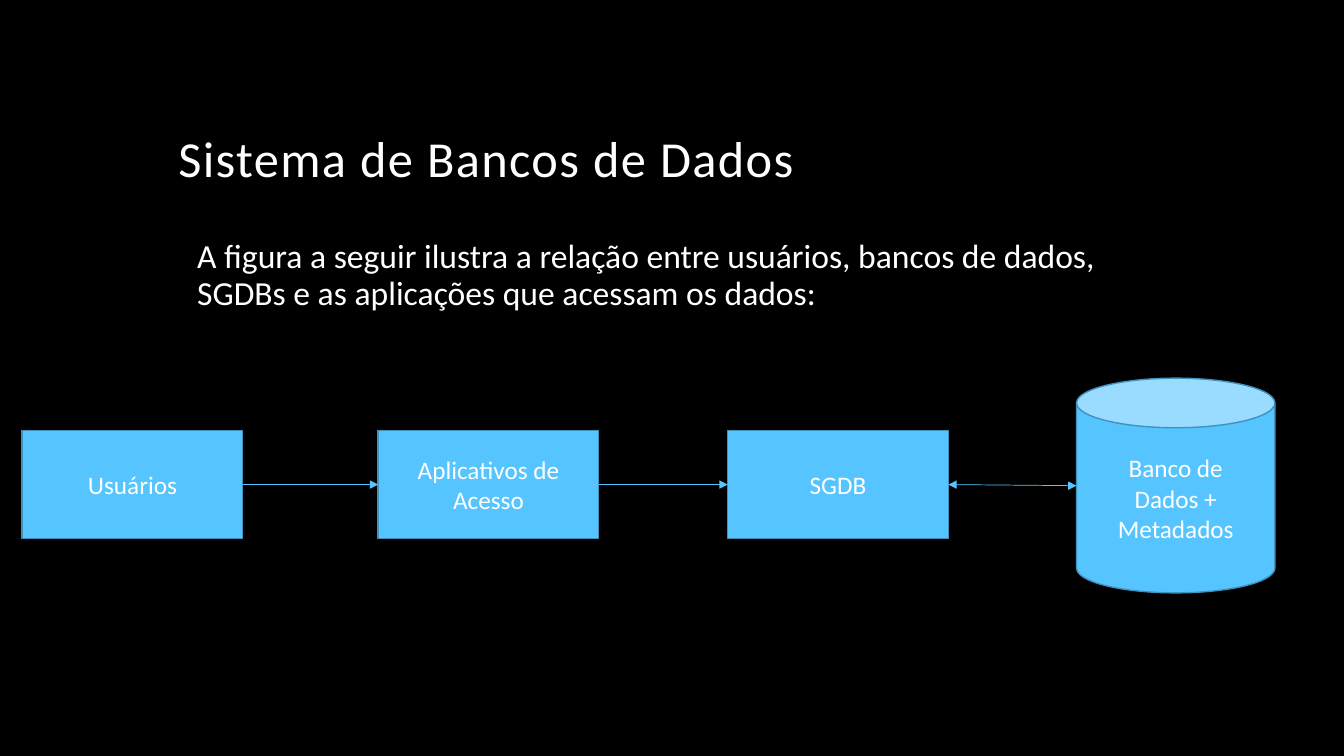
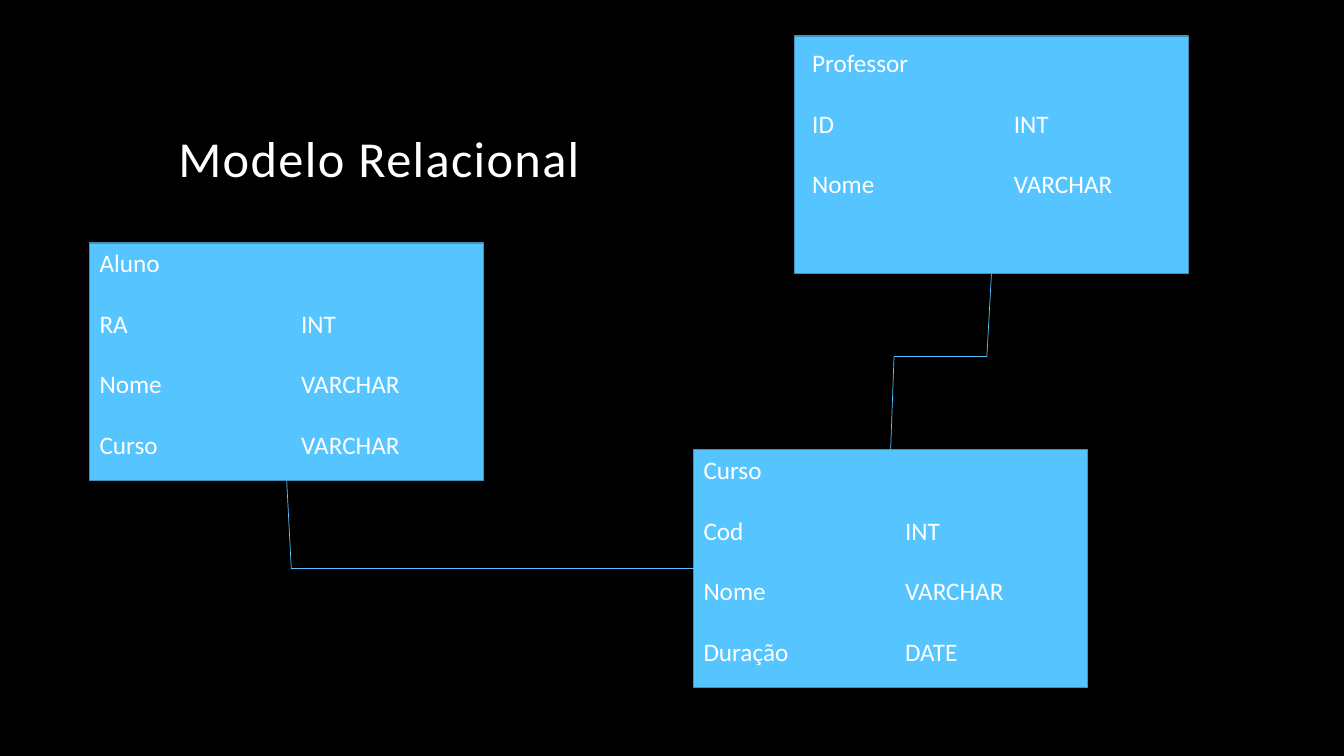
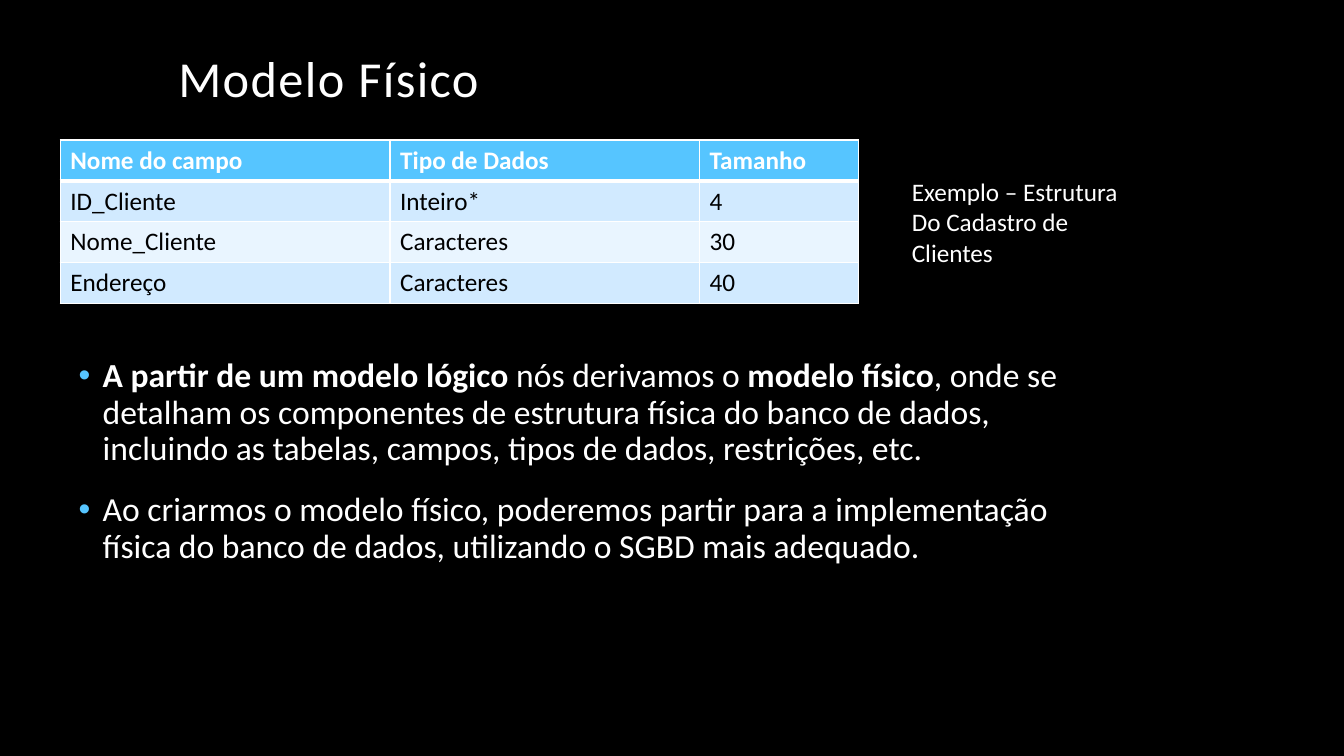
from lxml import etree
from pptx import Presentation
from pptx.dml.color import RGBColor
from pptx.enum import shapes, text
from pptx.oxml import ns
from pptx.util import Cm, Pt

BLACK, WHITE = "000000", "FFFFFF"
BLUE, EDGE = "56C5FF", "4092BD"
BANDS = ["D1EAFF", "E9F5FF"]


def color(value):
    return RGBColor.from_string(value)


def add_xml(parent, tag, **attributes):
    return etree.SubElement(parent, ns.qn(tag), attributes)


def paint(fill, value):
    fill.solid()
    fill.fore_color.rgb = color(value)


class Slides:
    font = "Calibri"

    def __init__(self):
        self.deck = Presentation()
        self.deck.slide_width, self.deck.slide_height = Cm(33.87), Cm(19.05)
        paint(self.deck.slide_master.background.fill, BLACK)

    def start(self, title, top=1.07, height=3.81):
        self.page = self.deck.slides.add_slide(self.deck.slide_layouts[5])
        box = self.page.shapes.title
        box.left, box.top, box.width, box.height = Cm(4.24), Cm(top), Cm(25.4), Cm(height)
        frame = box.text_frame
        frame.text = title
        frame.auto_size = text.MSO_AUTO_SIZE.NONE
        frame.vertical_anchor = text.MSO_ANCHOR.BOTTOM
        para = frame.paragraphs[0]
        para.alignment = text.PP_ALIGN.LEFT
        para.line_spacing = 0.9
        self.style(para, 36)
        para.font._element.set("spc", "100")

    def style(self, para, size, ink=WHITE, bold=False):
        para.font.name = self.font
        para.font.size = Pt(size)
        para.font.bold = bold
        para.font.color.rgb = color(ink)

    def text_box(self, left, top, width, height):
        box = self.page.shapes.add_textbox(Cm(left), Cm(top), Cm(width), Cm(height))
        box.text_frame.word_wrap = True
        return box.text_frame

    def label(self, left, top, width, height, lines):
        frame = self.text_box(left, top, width, height)
        frame.text = lines
        for para in frame.paragraphs:
            self.style(para, 18)

    def body(self, left, top, height, paragraphs, bullets=False):
        frame = self.text_box(left, top, 25.37, height)
        for number, spans in enumerate(paragraphs):
            para = frame.add_paragraph() if number else frame.paragraphs[0]
            for words, bold in spans:
                span = para.add_run()
                span.text = words
                span.font.bold = bold
            if bullets:
                props = para._p.get_or_add_pPr()
                props.set("marL", str(Cm(0.61)))
                props.set("indent", str(-Cm(0.61)))
                add_xml(add_xml(props, "a:buClr"), "a:srgbClr", val=BLUE)
                add_xml(props, "a:buFont", typeface="Arial")
                add_xml(props, "a:buChar", char="•")
            para.line_spacing = 0.9
            para.space_before = Pt(18)
            self.style(para, 24)

    def shape(self, left, top, width, height, words="", kind=shapes.MSO_SHAPE.RECTANGLE):
        box = self.page.shapes.add_shape(kind, Cm(left), Cm(top), Cm(width), Cm(height))
        box.shadow.inherit = False
        paint(box.fill, BLUE)
        box.line.color.rgb = color(EDGE)
        box.line.width = Pt(1)
        frame = box.text_frame
        frame.vertical_anchor = text.MSO_ANCHOR.MIDDLE
        frame.text = words
        for para in frame.paragraphs:
            para.alignment = text.PP_ALIGN.CENTER
            self.style(para, 18)

    def fields(self, left, top, width, height, name, rows):
        frame = self.text_box(left, top, width, height)
        frame.text = "\n".join([name] + ["\t".join(row) for row in rows])
        for number, para in enumerate(frame.paragraphs):
            if number:
                tabs = add_xml(para._p.get_or_add_pPr(), "a:tabLst")
                add_xml(tabs, "a:tab", pos=str(Cm(5.08)), algn="l")
                para.space_before = Pt(21.6)
            self.style(para, 18)

    def line(self, start, end, arrows=()):
        link = self.page.shapes.add_connector(
            shapes.MSO_CONNECTOR.STRAIGHT, *[Cm(value) for value in (*start, *end)])
        link.line.color.rgb = color(BLUE)
        link.line.width = Pt(0.5)
        for arrow in arrows:
            add_xml(link.line._get_or_add_ln(), arrow, type="triangle")
        add_xml(link._element.spPr, "a:effectLst")

    def polyline(self, *points):
        for start, end in zip(points, points[1:]):
            self.line(start, end)

    def table(self, left, top, widths, row_height, rows):
        grid = self.page.shapes.add_table(
            len(rows), len(widths), Cm(left), Cm(top),
            Cm(sum(widths)), Cm(row_height * len(rows))).table
        grid.horz_banding = False
        for column, width in zip(grid.columns, widths):
            column.width = Cm(width)
        for number, row in enumerate(rows):
            header = number == 0
            for cell, words in zip(grid.rows[number].cells, row):
                cell.text = words
                self.style(cell.text_frame.paragraphs[0], 18, WHITE if header else BLACK, header)
                self.borders(cell, {"T": 3 if number == 1 else 1, "B": 3 if header else 1})
                paint(cell.fill, BLUE if header else BANDS[(number - 1) % 2])

    def borders(self, cell, widths):
        props = cell._tc.get_or_add_tcPr()
        for side in "LRTB":
            edge = add_xml(props, f"a:ln{side}", w=str(Pt(widths.get(side, 1))))
            add_xml(add_xml(edge, "a:solidFill"), "a:srgbClr", val=WHITE)


def system(slides):
    slides.start("Sistema de Bancos de Dados")
    slides.body(4.72, 5.92, 11.43, [[(
        "A figura a seguir ilustra a relação entre usuários, bancos de dados, "
        "SGDBs e as aplicações que acessam os dados:", False)]])
    width, height, top = 5.56, 2.72, 10.85
    middle = top + height / 2
    lefts = [0.56, 9.53, 18.34]
    store = 27.13
    for left, words in zip(lefts, ["Usuários", "Aplicativos de\nAcesso", "SGDB"]):
        slides.shape(left, top, width, height, words)
    slides.shape(store, 9.53, 5, 5.41, "Banco de\nDados +\nMetadados", shapes.MSO_SHAPE.CAN)
    for left, target in zip(lefts, lefts[1:]):
        slides.line((left + width, middle), (target, middle), ["a:tailEnd"])
    slides.line((lefts[-1] + width, middle), (store, middle + 0.03), ["a:headEnd", "a:tailEnd"])


def relational(slides):
    slides.start("Modelo Relacional")
    width, height = 9.93, 5.99
    student, course, teacher = (2.26, 6.12), (17.48, 11.33), (20.02, 0.91)
    for corner in (student, course, teacher):
        slides.shape(*corner, width, height)
    slides.fields(*student, 10.46, 5.64, "Aluno", [
        ("RA", "INT"), ("Nome", "VARCHAR"), ("Curso", "VARCHAR")])
    slides.fields(20.22, 1.07, width, 4.11, "Professor", [("ID", "INT"), ("Nome", "VARCHAR")])
    slides.fields(*course, width, 5.64, "Curso", [
        ("Cod", "INT"), ("Nome", "VARCHAR"), ("Duração", "DATE")])
    level = course[1] + height / 2
    slides.polyline((student[0] + width / 2, student[1] + height), (7.34, level), (course[0], level))
    slides.polyline((teacher[0] + width / 2, teacher[1] + height), (24.87, 8.99),
                    (22.53, 8.99), (course[0] + width / 2, course[1]))


def physical(slides):
    slides.start("Modelo Físico", 0.91, 1.96)
    slides.table(1.52, 3.53, [8.31, 7.8, 4.01], 1.03, [
        ("Nome do campo", "Tipo de Dados", "Tamanho"),
        ("ID_Cliente", "Inteiro*", "4"),
        ("Nome_Cliente", "Caracteres", "30"),
        ("Endereço", "Caracteres", "40")])
    slides.label(22.73, 4.32, 6.1, 2.57, "Exemplo – Estrutura\nDo Cadastro de\nClientes")
    slides.body(1.73, 8.92, 5.79, [
        [("A partir de um modelo lógico ", True), ("nós derivamos o ", False),
         ("modelo físico", True),
         (", onde se detalham os componentes de estrutura física do banco de dados, "
          "incluindo as tabelas, campos, tipos de dados, restrições, etc.", False)],
        [("Ao criarmos o modelo físico, poderemos partir para a implementação física "
          "do banco de dados, utilizando o SGBD mais adequado.", False)]], bullets=True)


def main():
    slides = Slides()
    for build in (system, relational, physical):
        build(slides)
    slides.deck.save("out.pptx")


if __name__ == "__main__":
    main()
